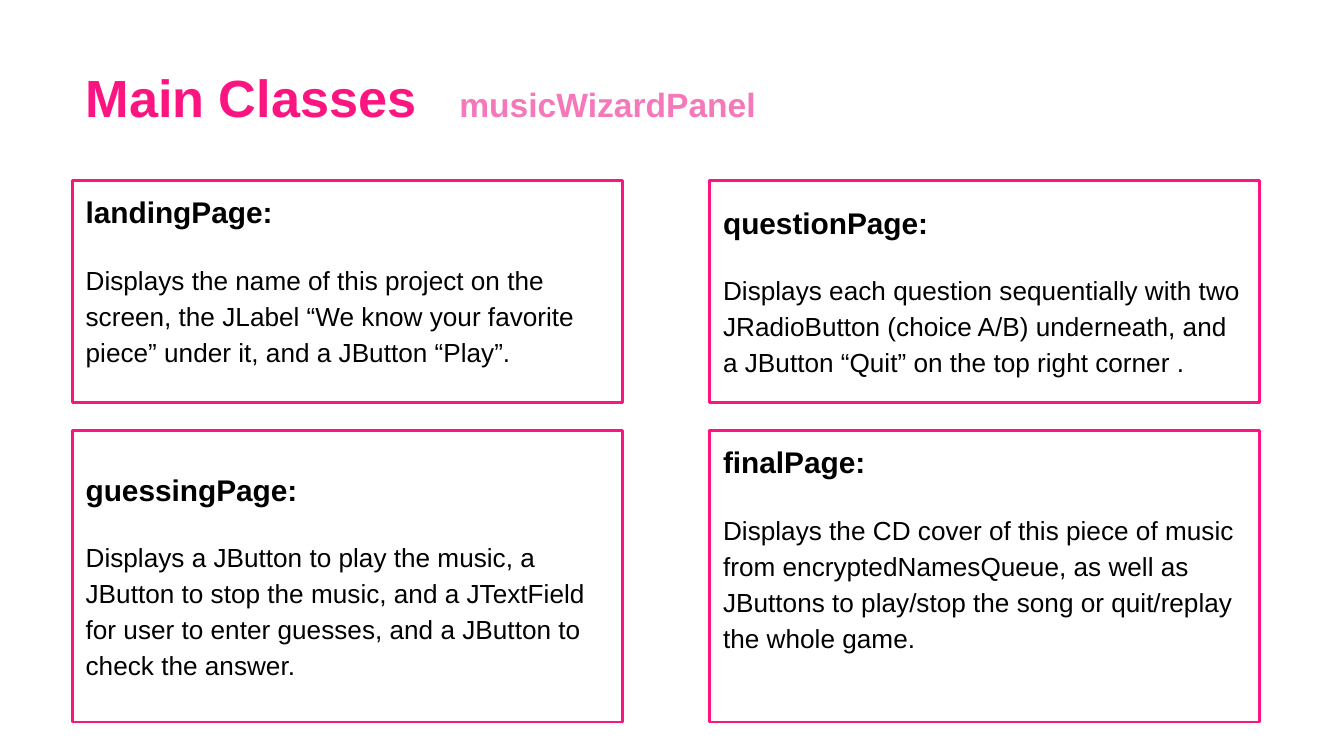
from lxml.etree import SubElement
from pptx import Presentation
from pptx.dml.color import RGBColor
from pptx.enum.shapes import MSO_SHAPE
from pptx.enum.text import MSO_ANCHOR, PP_ALIGN
from pptx.oxml.ns import qn
from pptx.util import Pt

PINK = "FC1580"
LEFTS = (38.8, 380.3)
CARD_W = 294.5
ROWS = ((96.6, 119), (230.5, 156.3))
INSET = 7.2
SUBTITLE_TAB = 200.2
CARDS = (
    (0, 0, MSO_ANCHOR.TOP, "landingPage:",
     "Displays the name of this project on the screen, the JLabel “We know your "
     "favorite piece” under it, and a JButton “Play”."),
    (0, 1, MSO_ANCHOR.MIDDLE, "questionPage:",
     "Displays each question sequentially with two JRadioButton (choice A/B) "
     "underneath, and a JButton “Quit” on the top right corner ."),
    (1, 0, MSO_ANCHOR.MIDDLE, "guessingPage:",
     "Displays a JButton to play the music, a JButton to stop the music, and a "
     "JTextField for user to enter guesses, and a JButton to check the answer."),
    (1, 1, MSO_ANCHOR.TOP, "finalPage:",
     "Displays the CD cover of this piece of music from encryptedNamesQueue, as "
     "well as JButtons to play/stop the song or quit/replay the whole game."),
)


def rgb(value):
    return RGBColor.from_string(value)


def add_text(p, text, size, color="000000", bold=False):
    r = p.add_run()
    r.text = text
    r.font.name = "Arial"
    r.font.size = Pt(size)
    r.font.bold = bold
    r.font.color.rgb = rgb(color)


def set_frame(tf, anchor):
    tf.word_wrap = True
    tf.vertical_anchor = anchor
    tf.margin_left = tf.margin_right = Pt(INSET)
    tf.margin_top = tf.margin_bottom = Pt(INSET)


def add_title(s, title, subtitle):
    tf = s.shapes.add_textbox(Pt(LEFTS[0]), Pt(28), Pt(671), Pt(45.4)).text_frame
    set_frame(tf, MSO_ANCHOR.TOP)
    p = tf.paragraphs[0]
    tabs = SubElement(p._p.get_or_add_pPr(), qn("a:tabLst"))
    SubElement(tabs, qn("a:tab"), pos=str(Pt(SUBTITLE_TAB)), algn="l")
    add_text(p, title + "\t", 28, color=PINK, bold=True)
    add_text(p, subtitle, 18, color="F579BA", bold=True)


def add_card(s, row, col, anchor, heading, body):
    top, height = ROWS[row]
    sp = s.shapes.add_shape(MSO_SHAPE.RECTANGLE, Pt(LEFTS[col]), Pt(top),
                            Pt(CARD_W), Pt(height))
    sp.shadow.inherit = False
    sp.fill.background()
    sp.line.color.rgb = rgb(PINK)
    sp.line.width = Pt(1.5)
    tf = sp.text_frame
    set_frame(tf, anchor)
    p = tf.paragraphs[0]
    p.alignment = PP_ALIGN.LEFT
    add_text(p, heading, 16, bold=True)
    p = tf.add_paragraph()
    p.alignment = PP_ALIGN.LEFT
    p.line_spacing = 1.15
    p.space_before = p.space_after = Pt(16)
    add_text(p, body, 14)


def main():
    prs = Presentation()
    prs.slide_width, prs.slide_height = Pt(720), Pt(405)
    s = prs.slides.add_slide(prs.slide_layouts[6])
    add_title(s, "Main Classes", "musicWizardPanel")
    for card in CARDS:
        add_card(s, *card)
    prs.save("out.pptx")


if __name__ == "__main__":
    main()
